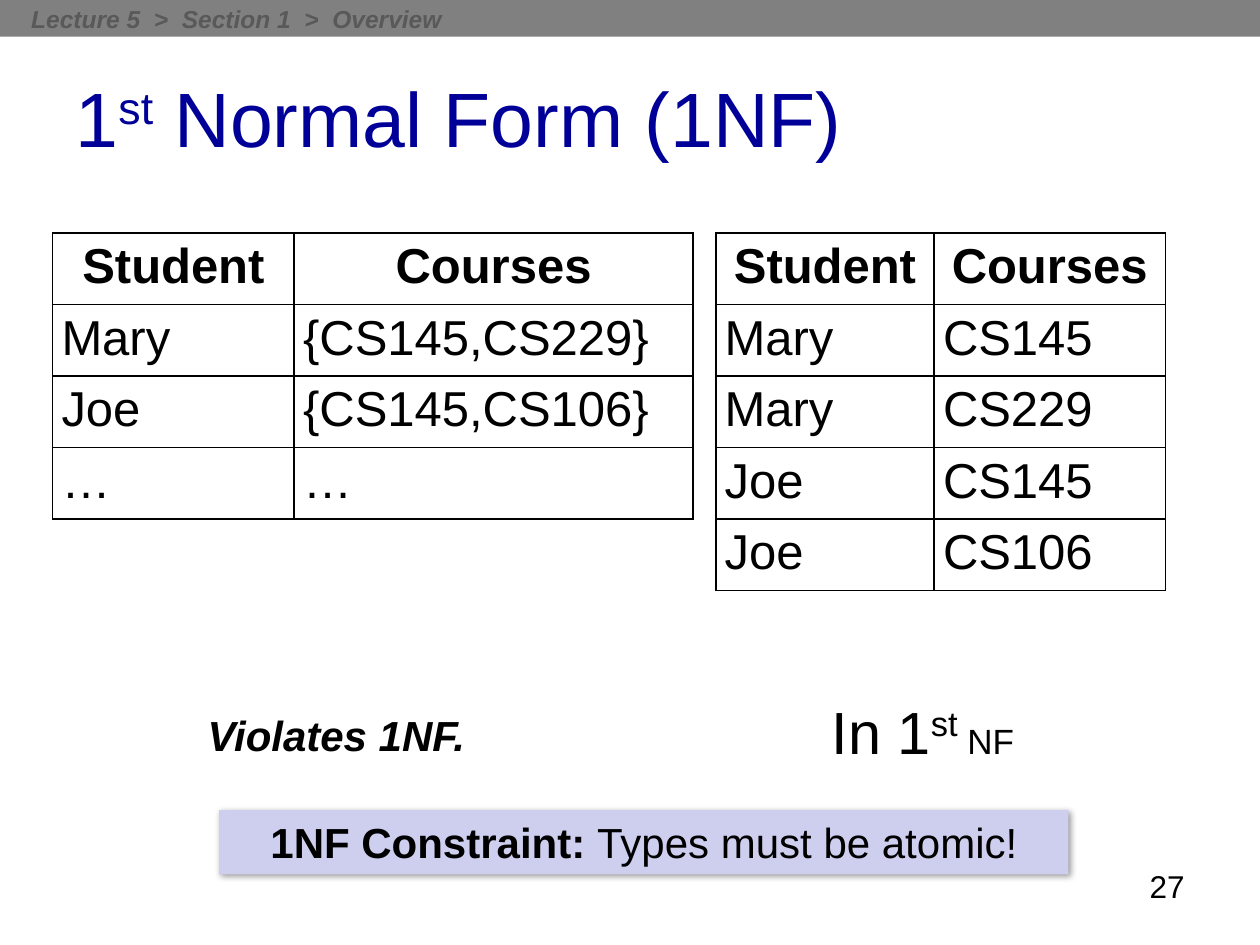
import pptx
import pptx.util
import pptx.dml.color
import pptx.enum.shapes
import pptx.enum.text
import pptx.oxml
import pptx.oxml.ns

Cm = pptx.util.Cm
ALIGN = pptx.enum.text.PP_ALIGN
ANCHOR = pptx.enum.text.MSO_ANCHOR
RECTANGLE = pptx.enum.shapes.MSO_SHAPE.RECTANGLE
NAMESPACE = pptx.oxml.ns.nsdecls("a")

COLORS = {
    "title": "000099",
    "text": "000000",
    "bar": "808080",
    "breadcrumb": "595959",
    "callout": "CECEEF",
}
FONT = "Arial"
ROW_HEIGHT = 1.44
TABLE_TOP = 4.7

TITLE = [("1", {}), ("st", {"baseline": 30}), (" Normal Form (1NF)", {})]
BREADCRUMB = "Lecture 5  >  Section 1  >  Overview"
TABLES = [
    {
        "left": 1.06,
        "columns": [4.87, 8.04],
        "rows": [
            ("Student", "Courses"),
            ("Mary", "{CS145,CS229}"),
            ("Joe", "{CS145,CS106}"),
            ("…", "…"),
        ],
    },
    {
        "left": 14.43,
        "columns": [4.4, 4.66],
        "rows": [
            ("Student", "Courses"),
            ("Mary", "CS145"),
            ("Mary", "CS229"),
            ("Joe", "CS145"),
            ("Joe", "CS106"),
        ],
    },
]
VERDICTS = [
    ((3.61, 14.17, 6.58, 1.3), [("Violates 1NF. ", {"bold": True, "italic": True})], 24),
    ((15.24, 13.89, 6.73, 1.7), [("In 1", {}), ("st ", {"baseline": 30}), ("NF", {"size": 20})], 34),
]
CONSTRAINT = [("1NF Constraint: ", {"bold": True}), ("Types must be atomic!", {})]


def write_text(text_frame, runs, size=24, color="text", bold=False, italic=False,
               align=ALIGN.LEFT, anchor=ANCHOR.TOP, wrap=True):
    text_frame.word_wrap = wrap
    text_frame.vertical_anchor = anchor
    paragraph = text_frame.paragraphs[0]
    paragraph.alignment = align
    for text, change in ([(runs, {})] if isinstance(runs, str) else runs):
        run = paragraph.add_run()
        run.text = text
        run.font.name = FONT
        run.font.size = pptx.util.Pt(change.get("size", size))
        run.font.bold = change.get("bold", bold)
        run.font.italic = change.get("italic", italic)
        run.font.color.rgb = pptx.dml.color.RGBColor.from_string(COLORS[color])
        if "baseline" in change:
            run.font._element.set("baseline", str(change["baseline"] * 1000))


def add_text(slide, box, runs, **style):
    shape = slide.shapes.add_textbox(*map(Cm, box))
    write_text(shape.text_frame, runs, **style)


def add_rectangle(slide, box, color):
    shape = slide.shapes.add_shape(RECTANGLE, *map(Cm, box))
    shape.shadow.inherit = False
    shape.fill.solid()
    shape.fill.fore_color.rgb = pptx.dml.color.RGBColor.from_string(COLORS[color])
    shape.line.fill.background()
    return shape


def add_shadow(shape):
    effects = shape._element.spPr.find(pptx.oxml.ns.qn("a:effectLst"))
    effects.append(pptx.oxml.parse_xml(
        f'<a:outerShdw {NAMESPACE} blurRad="50800" dist="12700" dir="2700000" algn="tl" '
        f'rotWithShape="0"><a:srgbClr val="{COLORS["text"]}"><a:alpha val="40000"/>'
        '</a:srgbClr></a:outerShdw>'))


def add_borders(cell):
    properties = cell._tc.get_or_add_tcPr()
    for side in "LRTB":
        properties.append(pptx.oxml.parse_xml(
            f'<a:ln{side} {NAMESPACE} w="12700"><a:solidFill>'
            f'<a:srgbClr val="{COLORS["text"]}"/></a:solidFill></a:ln{side}>'))


def add_table(slide, left, columns, rows):
    frame = slide.shapes.add_table(
        len(rows), len(columns), Cm(left), Cm(TABLE_TOP),
        Cm(sum(columns)), Cm(ROW_HEIGHT * len(rows)))
    table = frame.table
    table.first_row = False
    table.horz_banding = False
    for column, width in zip(table.columns, columns):
        column.width = Cm(width)
    for row_index, row in enumerate(rows):
        table.rows[row_index].height = Cm(ROW_HEIGHT)
        header = row_index == 0
        for column_index, text in enumerate(row):
            cell = table.cell(row_index, column_index)
            cell.margin_left = cell.margin_right = Cm(0.18)
            cell.margin_top = cell.margin_bottom = Cm(0.13)
            add_borders(cell)
            cell.fill.background()
            write_text(cell.text_frame, text, size=28, bold=header,
                       align=ALIGN.CENTER if header else ALIGN.LEFT)


def main():
    presentation = pptx.Presentation()
    presentation.slide_width = Cm(25.4)
    presentation.slide_height = Cm(19.05)
    slide = presentation.slides.add_slide(presentation.slide_layouts[5])

    title = slide.shapes.title
    title.left, title.top, title.width, title.height = map(Cm, (1.27, 0.76, 22.86, 3.18))
    write_text(title.text_frame, TITLE, size=44, color="title", anchor=ANCHOR.MIDDLE)
    title.text_frame.auto_size = pptx.enum.text.MSO_AUTO_SIZE.NONE

    for table in TABLES:
        add_table(slide, **table)
    for box, runs, size in VERDICTS:
        add_text(slide, box, runs, size=size, align=ALIGN.CENTER)

    callout = add_rectangle(slide, (4.42, 16.33, 17.12, 1.3), "callout")
    add_shadow(callout)
    write_text(callout.text_frame, CONSTRAINT, align=ALIGN.CENTER)

    add_rectangle(slide, (0, 0, 25.4, 0.74), "bar")
    add_text(slide, (0.38, -0.05, 8.84, 0.86), BREADCRUMB, size=14,
             color="breadcrumb", bold=True, italic=True, wrap=False)
    add_text(slide, (18.21, 17.35, 5.92, 1.32), "27", size=18, align=ALIGN.RIGHT)

    presentation.save("out.pptx")


if __name__ == "__main__":
    main()
